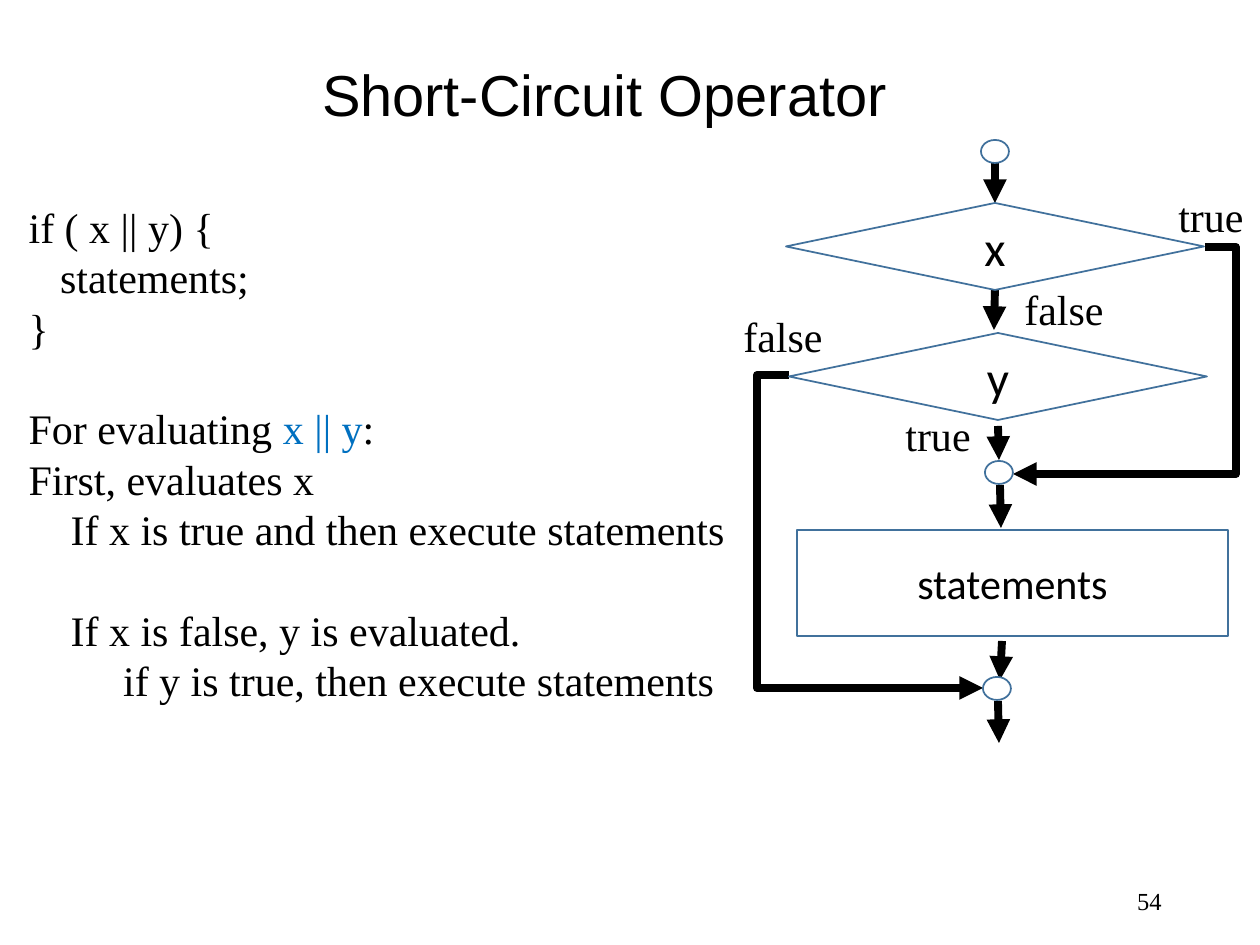
from typing import NamedTuple

from lxml.etree import SubElement
from pptx import Presentation
from pptx.dml.color import RGBColor
from pptx.enum.shapes import MSO_CONNECTOR as Conn, MSO_SHAPE as Shape
from pptx.enum.text import MSO_ANCHOR as Anchor, MSO_AUTO_SIZE as AutoSize, PP_ALIGN as Align
from pptx.oxml.ns import qn
from pptx.util import Inches, Pt

PX_PER_INCH = 126
BLACK, WHITE, OUTLINE, ACCENT = "000000", "FFFFFF", "41719C", "0070C0"
SERIF, SANS, TITLE_FONT = "Times New Roman", "Calibri", "Arial"
LINE_HEIGHT = 28.8
SPACE_WIDTH = 6


class Node(NamedTuple):
    kind: Shape
    x: int
    y: int
    w: int
    h: int
    text: str = ""
    size: int = 24


class Arrow(NamedTuple):
    x1: int
    y1: int
    x2: int
    y2: int
    via_x: int | None = None


class Label(NamedTuple):
    text: str
    x: int
    y: int
    w: int


class Line(NamedTuple):
    runs: list[tuple[str, str]]
    indent: int = 0
    gap: bool = False


def circle(x: int, y: int) -> Node:
    return Node(Shape.FLOWCHART_CONNECTOR, x, y, 28, 23)


def decision(x: int, y: int, text: str) -> Node:
    return Node(Shape.FLOWCHART_DECISION, x, y, 418, 87, text, 28)


NODES = [
    circle(981, 140),
    decision(786, 203, "x"),
    decision(789, 333, "y"),
    circle(985, 461),
    Node(Shape.FLOWCHART_PROCESS, 797, 530, 431, 106, "statements"),
    circle(983, 677),
]
ARROWS = [
    Arrow(995, 163, 995, 203),
    Arrow(995, 290, 994, 330),
    Arrow(998, 426, 999, 460),
    Arrow(1000, 485, 1001, 528),
    Arrow(1002, 641, 1000, 680),
    Arrow(998, 701, 999, 743),
    Arrow(1205, 247, 1013, 474, via_x=1236),
    Arrow(789, 375, 983, 688, via_x=757),
]
LABELS = [
    Label("true", 1166, 184, 91),
    Label("true", 893, 403, 91),
    Label("false", 1012, 277, 105),
    Label("false", 731, 304, 105),
]
LINES = [
    Line([("if ( x || y) {", BLACK)]),
    Line([("   statements;", BLACK)]),
    Line([("}", BLACK)]),
    Line([("For evaluating ", BLACK), ("x || y", ACCENT), (":", BLACK)], gap=True),
    Line([("First, evaluates x", BLACK)]),
    Line([("If x is true and then execute statements", BLACK)], indent=4),
    Line([("If x is false, y is evaluated.", BLACK)], indent=4, gap=True),
    Line([("if y is true, then execute statements", BLACK)], indent=9),
]


def px(n: int) -> int:
    return round(Inches(n) / PX_PER_INCH)


def color(value: str) -> RGBColor:
    return RGBColor.from_string(value)


def style(p, size: int, font: str, align: Align = Align.LEFT) -> None:
    p.alignment = align
    p.font.size = Pt(size)
    p.font.name = font
    p.font.color.rgb = color(BLACK)


def place(sp, x: int, y: int, w: int, h: int) -> None:
    sp.left, sp.top, sp.width, sp.height = px(x), px(y), px(w), px(h)


def add_text(slide, text: str, x: int, y: int, w: int, h: int):
    tf = slide.shapes.add_textbox(px(x), px(y), px(w), px(h)).text_frame
    tf.text = text
    return tf


def add_node(slide, node: Node) -> None:
    sp = slide.shapes.add_shape(node.kind, px(node.x), px(node.y), px(node.w), px(node.h))
    sp.shadow.inherit = False
    sp.fill.solid()
    sp.fill.fore_color.rgb = color(WHITE)
    sp.line.color.rgb = color(OUTLINE)
    sp.line.width = Pt(1)
    if node.text:
        tf = sp.text_frame
        tf.text = node.text
        tf.vertical_anchor = Anchor.MIDDLE
        style(tf.paragraphs[0], node.size, SANS, Align.CENTER)


def add_arrow(slide, arrow: Arrow) -> None:
    """Draw a straight arrow, or an elbow whose middle leg runs at via_x."""
    kind = Conn.STRAIGHT if arrow.via_x is None else Conn.ELBOW
    c = slide.shapes.add_connector(kind, px(arrow.x1), px(arrow.y1), px(arrow.x2), px(arrow.y2))
    c.line.color.rgb = color(BLACK)
    c.line.width = Pt(4.5)
    SubElement(c.line._get_or_add_ln(), qn("a:tailEnd"), type="triangle")
    props = c._element.spPr
    SubElement(props, qn("a:effectLst"))
    if arrow.via_x is not None:
        bend = round(100000 * (arrow.via_x - arrow.x1) / (arrow.x2 - arrow.x1))
        guides = props.find(qn("a:prstGeom")).find(qn("a:avLst"))
        SubElement(guides, qn("a:gd"), name="adj1", fmla=f"val {bend}")


def add_label(slide, label: Label) -> None:
    tf = add_text(slide, label.text, label.x, label.y, label.w, 63)
    tf.word_wrap = False
    p = tf.paragraphs[0]
    style(p, 24, SERIF)
    p.line_spacing = Pt(LINE_HEIGHT)


def fill_title(sp) -> None:
    place(sp, 69, 44, 1071, 108)
    tf = sp.text_frame
    tf.text = "Short-Circuit Operator"
    tf.auto_size = AutoSize.NONE
    tf.vertical_anchor = Anchor.MIDDLE
    p = tf.paragraphs[0]
    style(p, 33, TITLE_FONT, Align.CENTER)
    p.line_spacing = 0.9


def fill_body(sp) -> None:
    place(sp, 16, 195, 1176, 517)
    tf = sp.text_frame
    tf.auto_size = AutoSize.NONE
    tf.vertical_anchor = Anchor.TOP
    for i, line in enumerate(LINES):
        p = tf.add_paragraph() if i else tf.paragraphs[0]
        props = p._p.get_or_add_pPr()
        props.set("marL", str(Pt(line.indent * SPACE_WIDTH)))
        props.set("indent", "0")
        SubElement(props, qn("a:buNone"))
        style(p, 24, SERIF)
        p.line_spacing = Pt(LINE_HEIGHT)
        p.space_before = Pt(LINE_HEIGHT if line.gap else 0)
        for text, hue in line.runs:
            r = p.add_run()
            r.text = text
            if hue != BLACK:
                r.font.color.rgb = color(hue)


def main() -> None:
    prs = Presentation()
    prs.slide_width, prs.slide_height = Inches(10), Inches(7.5)
    slide = prs.slides.add_slide(prs.slide_layouts[1])
    fill_title(slide.shapes.title)
    fill_body(slide.placeholders[1])
    number = add_text(slide, "54", 890, 876, 284, 50)
    number.word_wrap = True
    number.vertical_anchor = Anchor.MIDDLE
    style(number.paragraphs[0], 14, SERIF, Align.RIGHT)
    for arrow in ARROWS:
        add_arrow(slide, arrow)
    for node in NODES:
        add_node(slide, node)
    for label in LABELS:
        add_label(slide, label)
    prs.save("out.pptx")


if __name__ == "__main__":
    main()
